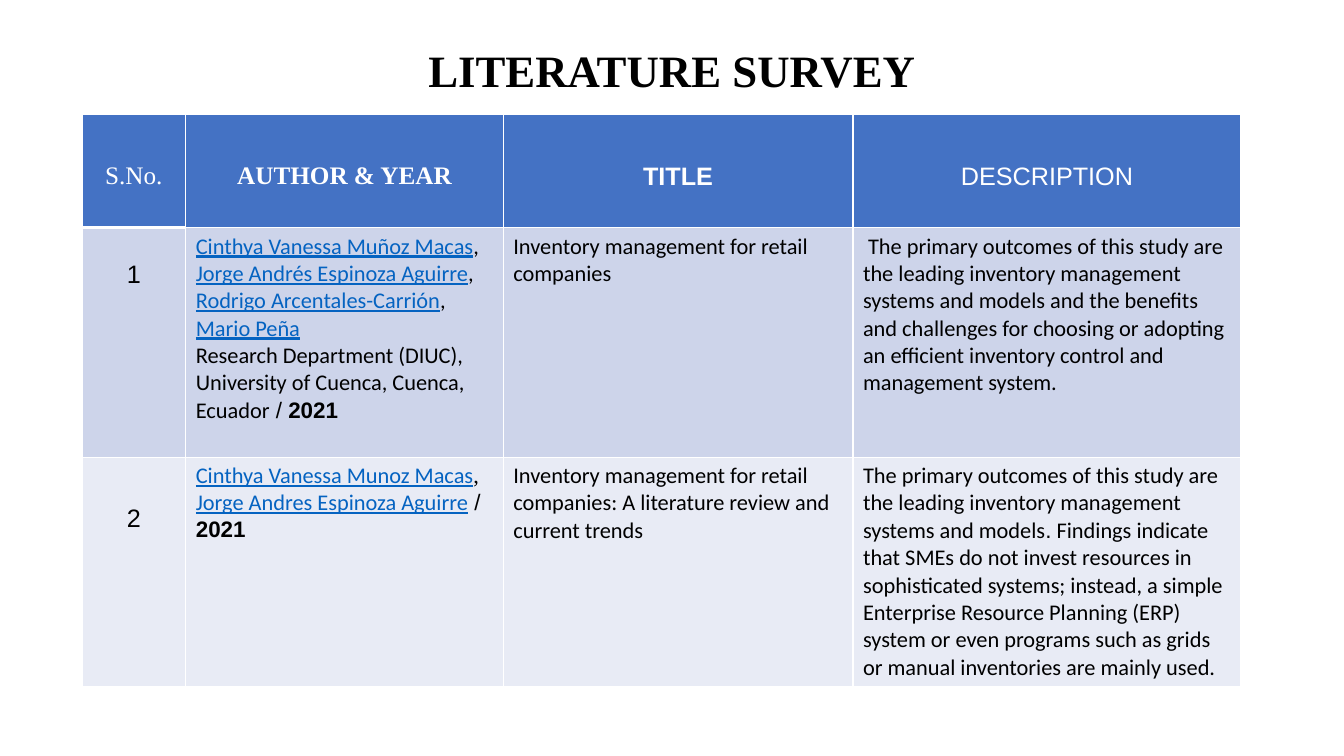
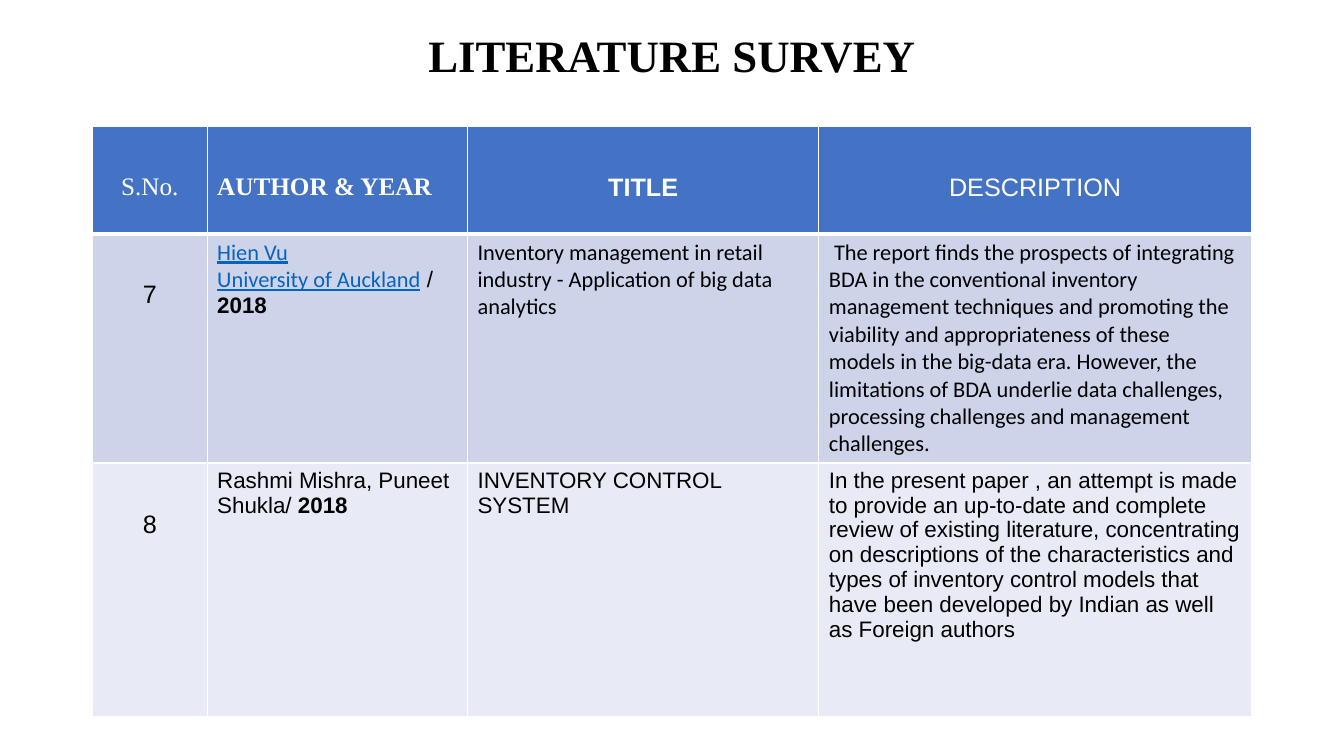
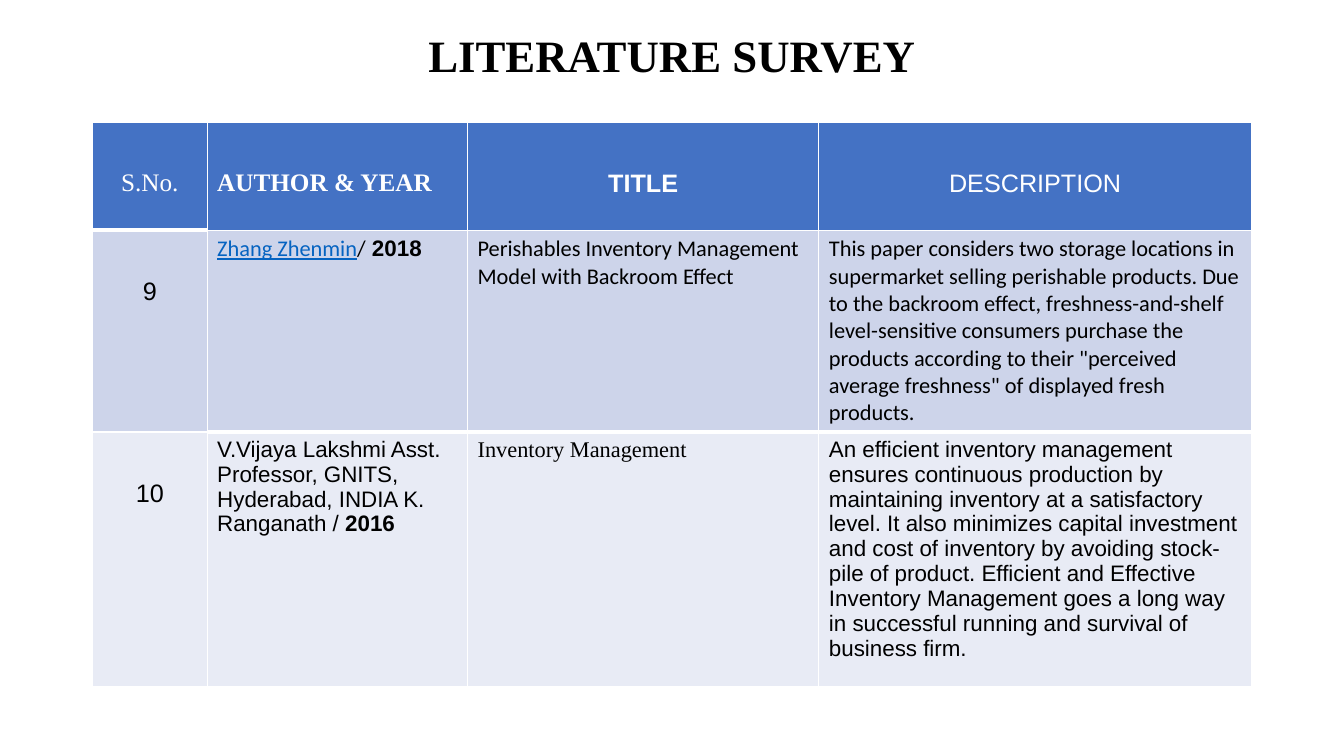
"""Builds three literature survey slides, each a title over a table of papers."""
from dataclasses import dataclass

from lxml.etree import SubElement
from pptx import Presentation
from pptx.dml.color import RGBColor as RGB
from pptx.enum.text import MSO_ANCHOR as ANCHOR, MSO_AUTO_SIZE as AUTO, PP_ALIGN as ALIGN
from pptx.oxml.ns import qn
from pptx.util import Pt


@dataclass(frozen=True)
class Style:
    font: str
    size: int
    color: str
    bold: bool = False
    underline: bool = False


class Theme:
    black, white, link = "000000", "FFFFFF", "0563C1"
    row_fills = ("4472C4", "CDD4EA", "E8EBF5")
    thin, thick = 1, 3
    sans, serif, body = "Arial", "Times New Roman", "Calibri"
    styles = {
        "title": Style(serif, 32, black, bold=True),
        "head serif": Style(serif, 18, white),
        "head serif bold": Style(serif, 18, white, bold=True),
        "head sans": Style(sans, 18, white),
        "head sans bold": Style(sans, 18, white, bold=True),
        "serial": Style(sans, 18, black),
        "body": Style(body, 16, black),
        "link": Style(body, 16, link, underline=True),
        "sans": Style(sans, 16, black),
        "serif": Style(serif, 16, black),
        "year": Style(sans, 16, black, bold=True),
    }


class Deck:
    def __init__(self):
        self.prs = Presentation()
        self.prs.slide_width, self.prs.slide_height = Pt(960), Pt(540)
        self.slide = None

    def add_slide(self):
        self.slide = self.prs.slides.add_slide(self.prs.slide_layouts[5])

    def format_run(self, r, name):
        style = Theme.styles[name]
        font = r.font
        font.name, font.size = style.font, Pt(style.size)
        font.bold, font.underline = style.bold, style.underline
        font.color.rgb = RGB.from_string(style.color)

    def title(self, text, height):
        sp = self.slide.shapes.title
        sp.left, sp.top, sp.width, sp.height = Pt(66), Pt(0), Pt(828), Pt(height)
        tf = sp.text_frame
        tf.text = text
        tf.word_wrap, tf.auto_size = True, AUTO.NONE
        tf.vertical_anchor = ANCHOR.MIDDLE
        p = tf.paragraphs[0]
        p.alignment, p.line_spacing = ALIGN.CENTER, 0.9
        self.format_run(p.runs[0], "title")

    def borders(self, cell, row, col, thick):
        tc_pr = cell._tc.get_or_add_tcPr()
        heavy = {"T": (row - 1, col) in thick, "B": (row, col) in thick}
        for side in "LRTB":
            width = Theme.thick if heavy.get(side) else Theme.thin
            ln = SubElement(tc_pr, qn(f"a:ln{side}"), w=str(Pt(width)))
            fill = SubElement(ln, qn("a:solidFill"))
            SubElement(fill, qn("a:srgbClr"), val=Theme.white)

    def cell_text(self, cell, paragraphs, align, spacing):
        tf = cell.text_frame
        for i, runs in enumerate(paragraphs):
            p = tf.add_paragraph() if i else tf.paragraphs[0]
            p.alignment = align
            if spacing:
                p.line_spacing = spacing
            for text, name in runs:
                r = p.add_run()
                r.text = text
                self.format_run(r, name)

    def table(self, left, top, widths, heights, rows, thick, author_align, spacings):
        frame = self.slide.shapes.add_table(
            len(rows), len(widths), Pt(left), Pt(top), Pt(sum(widths)), Pt(sum(heights)))
        table = frame.table
        for column, width in zip(table.columns, widths):
            column.width = Pt(width)
        for i, (cells, height) in enumerate(zip(rows, heights)):
            table.rows[i].height = Pt(height)
            for j, paragraphs in enumerate(cells):
                cell = table.cell(i, j)
                self.borders(cell, i, j, thick)
                cell.fill.solid()
                cell.fill.fore_color.rgb = RGB.from_string(Theme.row_fills[i])
                spaced = i == 0 or j == 0
                align = ALIGN.CENTER if spaced else ALIGN.LEFT
                if (i, j) == (0, 1):
                    align = author_align
                self.cell_text(cell, paragraphs, align, spacings[i] if spaced else None)

    def survey(self, title_height, papers, **layout):
        self.add_slide()
        self.title("LITERATURE SURVEY", title_height)
        self.table(rows=[HEADER, *papers], **layout)


def one(text, name="body"):
    return [[(text, name)]]


HEADER = [
    one("S.No.", "head serif"),
    one("AUTHOR & YEAR", "head serif bold"),
    one("TITLE", "head sans bold"),
    one("DESCRIPTION", "head sans"),
]

PAPERS_1_2 = [
    [
        one("1", "serial"),
        [
            [("Cinthya Vanessa Muñoz Macas", "link"), (", ", "body"),
             ("Jorge Andrés Espinoza Aguirre", "link"), (", ", "body"),
             ("Rodrigo Arcentales-Carrión", "link"), (", ", "body"),
             ("Mario Peña", "link")],
            [("Research Department (DIUC), University of Cuenca, Cuenca, Ecuador", "body"),
             (" / ", "sans"), ("2021", "year")],
        ],
        one("Inventory management for retail companies"),
        one(" The primary outcomes of this study are the leading inventory management "
            "systems and models and the benefits and challenges for choosing or adopting "
            "an efficient inventory control and management system."),
    ],
    [
        one("2", "serial"),
        [[("Cinthya Vanessa Munoz Macas", "link"), (", ", "serif"),
          ("Jorge Andres Espinoza Aguirre", "link"), (" / ", "sans"), ("2021", "year")]],
        one("Inventory management for retail companies: A literature review and current trends"),
        [[("The primary outcomes of this study are the leading inventory management "
           "systems and models", "body"), (".", "sans"),
          (" Findings indicate that SMEs do not invest resources in sophisticated systems; "
           "instead, a simple Enterprise Resource Planning (ERP) system or even programs "
           "such as grids or manual inventories are mainly used.", "body")]],
    ],
]

PAPERS_7_8 = [
    [
        one("7", "serial"),
        [
            [("Hien Vu", "link")],
            [("University of Auckland", "link"), (" / ", "sans"), ("2018", "year")],
        ],
        one("Inventory management in retail industry - Application of big data analytics"),
        one(" The report finds the prospects of integrating BDA in the conventional "
            "inventory management techniques and promoting the viability and "
            "appropriateness of these models in the big-data era. However, the limitations "
            "of BDA underlie data challenges, processing challenges and management "
            "challenges."),
    ],
    [
        one("8", "serial"),
        [[("Rashmi Mishra, Puneet Shukla/ ", "sans"), ("2018", "year")]],
        one("INVENTORY CONTROL SYSTEM", "sans"),
        one("In the present paper , an attempt is made to provide an up-to-date and complete "
            "review of existing literature, concentrating on descriptions of the "
            "characteristics and types of inventory control models that have been developed "
            "by Indian as well as Foreign authors", "sans"),
    ],
]

PAPERS_9_10 = [
    [
        one("9", "serial"),
        [[("Zhang Zhenmin", "link"), ("/", "body"), (" 2018", "year")]],
        one("Perishables Inventory Management Model with Backroom Effect"),
        one("This paper considers two storage locations in supermarket selling perishable "
            "products. Due to the backroom effect, freshness-and-shelf level-sensitive "
            "consumers purchase the products according to their \"perceived average "
            "freshness\" of displayed fresh products."),
    ],
    [
        one("10", "serial"),
        [[("V.Vijaya Lakshmi Asst. Professor, GNITS, Hyderabad, INDIA K. Ranganath / ", "sans"),
          ("2016", "year")]],
        one("Inventory Management", "serif"),
        one("An efficient inventory management ensures continuous production by maintaining "
            "inventory at a satisfactory level. It also minimizes capital investment and "
            "cost of inventory by avoiding stock-pile of product. Efficient and Effective "
            "Inventory Management goes a long way in successful running and survival of "
            "business firm.", "sans"),
    ],
]


def main():
    deck = Deck()
    deck.survey(
        104.4, PAPERS_1_2, left=58.5, top=82, widths=(74.2, 226.8, 249.8, 277.2),
        heights=(80.6, 164, 163), thick={(0, 0)},
        author_align=ALIGN.CENTER, spacings=(2.5, 2, 2.5))
    later = dict(left=66, widths=(82, 186, 251, 309),
                 author_align=ALIGN.LEFT, spacings=(2.5, 2.5, 2.5))
    deck.survey(
        82.8, PAPERS_7_8, top=90, heights=(77, 163.5, 181.5),
        thick={(0, col) for col in range(4)}, **later)
    deck.survey(
        82.8, PAPERS_9_10, top=87.5, heights=(77, 144, 181.5),
        thick={(0, 0), (1, 1), (1, 2), (1, 3)}, **later)
    deck.prs.save("out.pptx")


if __name__ == "__main__":
    main()
